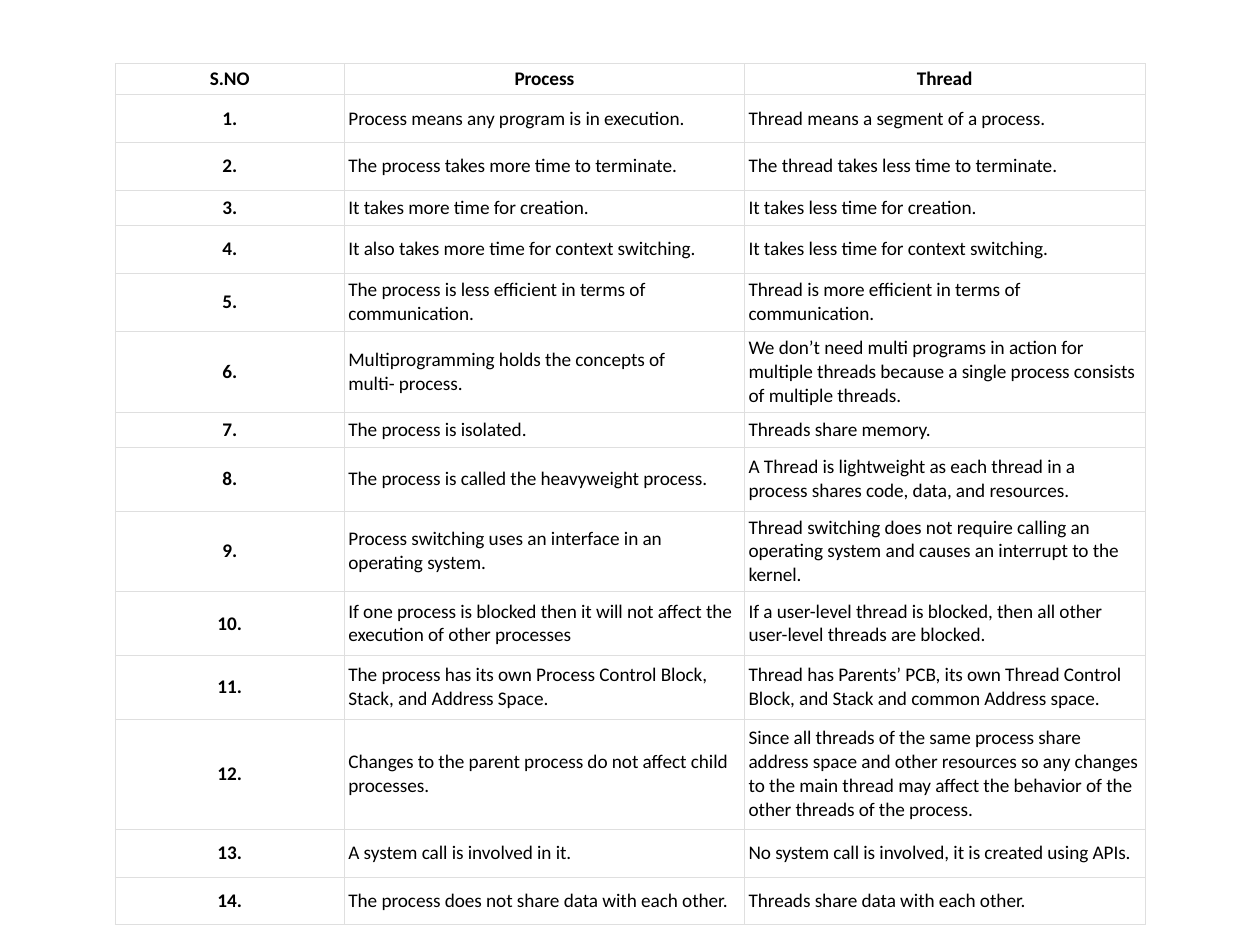
"""Build a slide with a table comparing processes and threads."""
import pptx
import pptx.dml.color
import pptx.enum.text
import pptx.oxml
import pptx.oxml.ns
import pptx.util

Pt = pptx.util.Pt
BLACK = pptx.dml.color.RGBColor(0x00, 0x00, 0x00)
WHITE = pptx.dml.color.RGBColor(0xFF, 0xFF, 0xFF)
BORDER = pptx.dml.color.RGBColor(0xDF, 0xDF, 0xDF)
CENTER = pptx.enum.text.PP_ALIGN.CENTER
LEFT = pptx.enum.text.PP_ALIGN.LEFT

COLUMN_WIDTHS = [131, 228.7, 228.7]
HEADINGS = ["S.NO", "Process", "Thread"]
HEADING_HEIGHT = 17.8
COMPARISONS = [
    (27.4, "Process means any program is in execution.",
     "Thread means a segment of a process."),
    (27.4, "The process takes more time to terminate.",
     "The thread takes less time to terminate."),
    (20, "It takes more time for creation.",
     "It takes less time for creation."),
    (27.4, "It also takes more time for context switching.",
     "It takes less time for context switching."),
    (33.2, "The process is less efficient in terms of communication.",
     "Thread is more efficient in terms of communication."),
    (46.2, "Multiprogramming holds the concepts of\vmulti- process.",
     "We don’t need multi programs in action for multiple threads because "
     "a single process consists of multiple threads."),
    (20, "The process is isolated.", "Threads share memory."),
    (36.4, "The process is called the heavyweight process.",
     "A Thread is lightweight as each thread in a\n"
     "process shares code, data, and resources."),
    (46.2, "Process switching uses an interface in an operating system.",
     "Thread switching does not require calling an operating system and "
     "causes an interrupt to the kernel."),
    (36.4, "If one process is blocked then it will not affect the execution "
     "of other processes",
     "If a user-level thread is blocked, then all other user-level threads "
     "are blocked."),
    (36.4, "The process has its own Process Control Block, Stack, and "
     "Address Space.",
     "Thread has Parents’ PCB, its own Thread Control Block, and Stack and "
     "common Address space."),
    (62.8, "Changes to the parent process do not affect child processes.",
     "Since all threads of the same process share address space and other "
     "resources so any changes to the main thread may affect the behavior "
     "of the other threads of the process."),
    (27.4, "A system call is involved in it.",
     "No system call is involved, it is created using APIs."),
    (27.4, "The process does not share data with each other.",
     "Threads share data with each other."),
]


def write_cell(cell, text, bold=False, alignment=LEFT, side_margin=0):
    """Write formatted text into a bordered white cell."""
    cell.margin_left = cell.margin_right = Pt(side_margin)
    cell.margin_top = cell.margin_bottom = Pt(0)
    cell.vertical_anchor = pptx.enum.text.MSO_ANCHOR.MIDDLE
    cell.text_frame.text = text
    for paragraph in cell.text_frame.paragraphs:
        paragraph.alignment = alignment
        for run in paragraph.runs:
            run.font.name = "Calibri"
            run.font.size = Pt(11)
            run.font.bold = bold
            run.font.color.rgb = BLACK
            run.font._element.set("spc", "-5")
    properties = cell._tc.get_or_add_tcPr()
    for side in ("lnL", "lnR", "lnT", "lnB"):
        properties.append(pptx.oxml.parse_xml(
            f'<a:{side} {pptx.oxml.ns.nsdecls("a")} w="{Pt(0.25)}"><a:solidFill>'
            f'<a:srgbClr val="{BORDER}"/></a:solidFill></a:{side}>'))
    cell.fill.solid()
    cell.fill.fore_color.rgb = WHITE


presentation = pptx.Presentation()
presentation.slide_width = Pt(720)
presentation.slide_height = Pt(540)
slide = presentation.slides.add_slide(presentation.slide_layouts[6])

heights = [HEADING_HEIGHT] + [comparison[0] for comparison in COMPARISONS]
shape = slide.shapes.add_table(
    len(heights), len(COLUMN_WIDTHS), Pt(65.8), Pt(36.2),
    Pt(sum(COLUMN_WIDTHS)), Pt(sum(heights)))
table = shape.table
table.first_row = False
table.horz_banding = False
for column, width in zip(table.columns, COLUMN_WIDTHS):
    column.width = Pt(width)
for row, height in zip(table.rows, heights):
    row.height = Pt(height)

for column_index, heading in enumerate(HEADINGS):
    write_cell(table.cell(0, column_index), heading, bold=True, alignment=CENTER)
for number, (height, process, thread) in enumerate(COMPARISONS, start=1):
    write_cell(table.cell(number, 0), f"{number}.", bold=True, alignment=CENTER)
    write_cell(table.cell(number, 1), process, side_margin=2.3)
    write_cell(table.cell(number, 2), thread, side_margin=2.3)

presentation.save("out.pptx")
